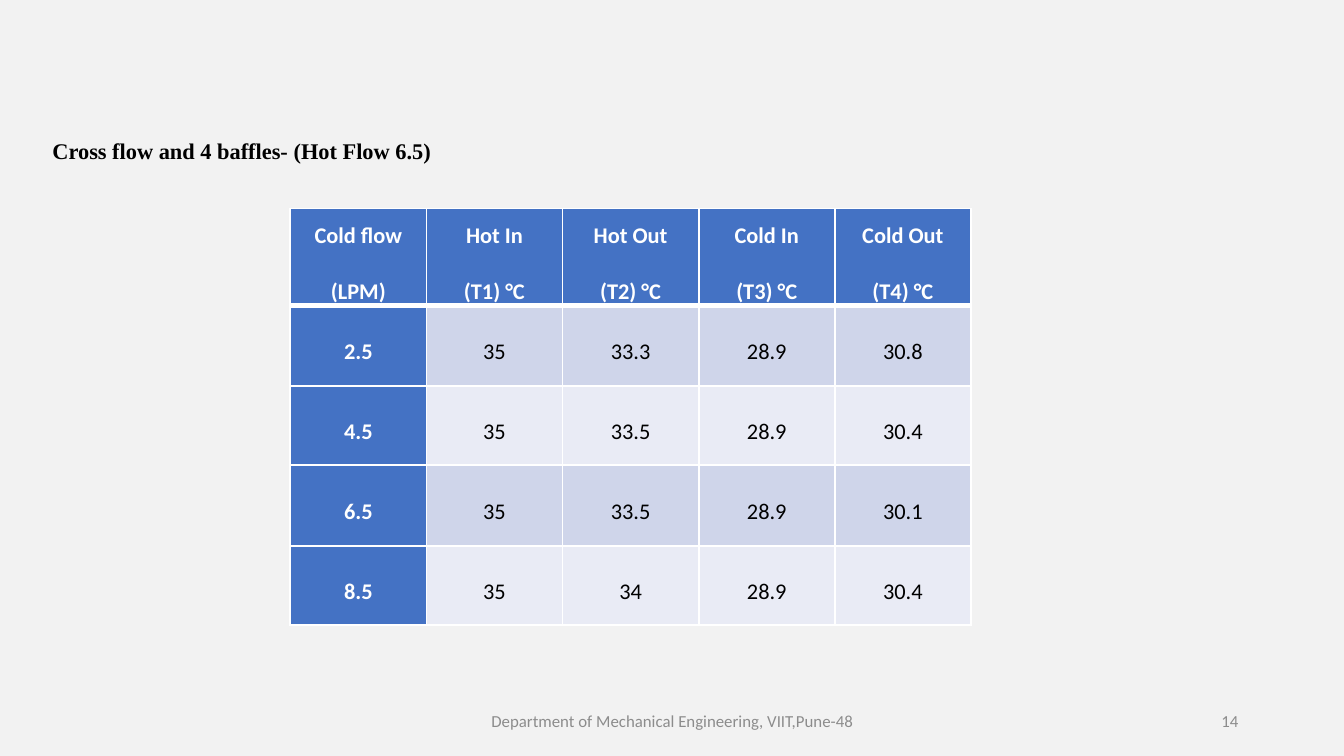
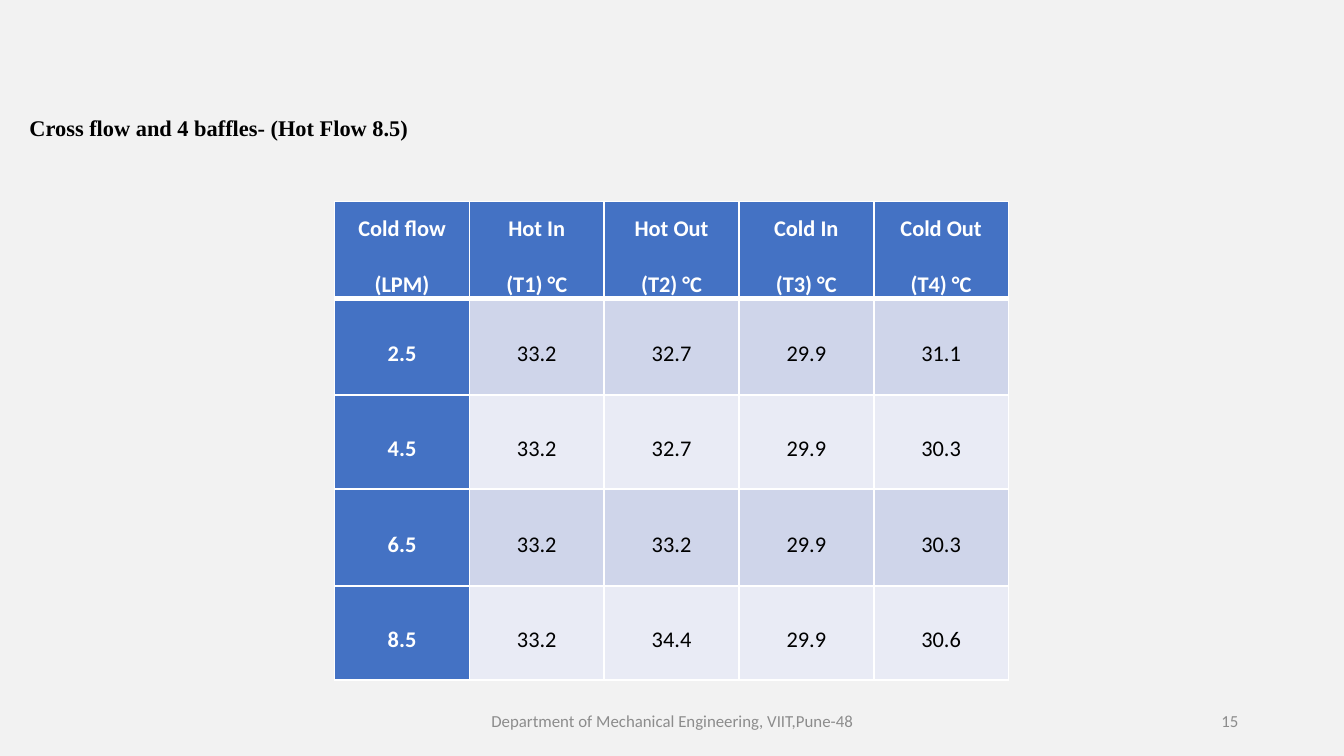
"""Build two slides of heat exchanger readings for cross flow with four baffles."""
from lxml import etree
from pptx import Presentation
from pptx import util as u
from pptx.dml import color
from pptx.enum import text
from pptx.oxml import ns

BLUE, WHITE, BLACK, GREY = "4472C4", "FFFFFF", "000000", "8C8C8C"
BACKGROUND = "F2F2F2"
BANDS = ["CFD5EA", "E9EBF5"]
FOOTER = "Department of Mechanical Engineering, VIIT,Pune-48"
HEADINGS = [
    ["Cold flow", "(LPM)"],
    ["Hot In", "(T1) °C"],
    ["Hot Out", "(T2) °C"],
    ["Cold In", "(T3) °C"],
    ["Cold Out", "(T4) °C"],
]
TRIALS = [
    {
        "title": "Cross flow and 4 baffles- (Hot Flow 6.5)",
        "title_at": (20.9, 73.4),
        "table_at": (155.5, 111.6),
        "column": 72.95,
        "heights": (42.5, 43.2),
        "number": "14",
        "readings": [
            ["2.5", "35", "33.3", "28.9", "30.8"],
            ["4.5", "35", "33.5", "28.9", "30.4"],
            ["6.5", "35", "33.5", "28.9", "30.1"],
            ["8.5", "35", "34", "28.9", "30.4"],
        ],
    },
    {
        "title": "Cross flow and 4 baffles- (Hot Flow 8.5)",
        "title_at": (8.6, 61.2),
        "table_at": (179.3, 108),
        "column": 72.2,
        "heights": (50.4, 51.8),
        "number": "15",
        "readings": [
            ["2.5", "33.2", "32.7", "29.9", "31.1"],
            ["4.5", "33.2", "32.7", "29.9", "30.3"],
            ["6.5", "33.2", "33.2", "29.9", "30.3"],
            ["8.5", "33.2", "34.4", "29.9", "30.6"],
        ],
    },
]


def paint(fill, hex_color):
    fill.solid()
    fill.fore_color.rgb = color.RGBColor.from_string(hex_color)


def write(frame, lines, size, hex_color, align, bold=False, font="Calibri"):
    for index, line in enumerate(lines):
        paragraph = frame.add_paragraph() if index else frame.paragraphs[0]
        paragraph.alignment = align
        run = paragraph.add_run()
        run.text = line
        run.font.name = font
        run.font.size = u.Pt(size)
        run.font.bold = bold
        paint(run.font.fill, hex_color)


prs = Presentation()
prs.slide_width, prs.slide_height = u.Pt(720), u.Pt(405)
paint(prs.slide_master.background.fill, BACKGROUND)
LEFT, CENTER, RIGHT = text.PP_ALIGN.LEFT, text.PP_ALIGN.CENTER, text.PP_ALIGN.RIGHT

for trial in TRIALS:
    slide = prs.slides.add_slide(prs.slide_layouts[5])

    title = slide.shapes.title
    title.left, title.top = [u.Pt(offset) for offset in trial["title_at"]]
    title.width, title.height = u.Pt(720), u.Pt(36)
    title.text_frame.auto_size = text.MSO_AUTO_SIZE.NONE
    title.text_frame.vertical_anchor = text.MSO_ANCHOR.TOP
    title.text_frame.margin_top = 0
    write(title.text_frame, [trial["title"]], 12, BLACK, LEFT, True, "Times New Roman")

    left, top = trial["table_at"]
    rows = [HEADINGS] + [[[value] for value in row] for row in trial["readings"]]
    heights = [trial["heights"][index % 2] for index in range(len(rows))]
    readings = slide.shapes.add_table(
        len(rows), len(HEADINGS), u.Pt(left), u.Pt(top),
        u.Pt(trial["column"] * len(HEADINGS)), u.Pt(sum(heights)),
    ).table
    readings.first_col = True
    for column in readings.columns:
        column.width = u.Pt(trial["column"])

    for r, row in enumerate(rows):
        readings.rows[r].height = u.Pt(heights[r])
        for c, lines in enumerate(row):
            heading = r == 0 or c == 0
            cell = readings.cell(r, c)
            cell.vertical_anchor = text.MSO_ANCHOR.MIDDLE
            cell.margin_left = cell.margin_right = u.Pt(5)
            cell.margin_top = cell.margin_bottom = 0
            write(cell.text_frame, lines, 12, WHITE if heading else BLACK, CENTER, heading)
            for paragraph in cell.text_frame.paragraphs:
                paragraph.line_spacing = 1.5
                paragraph.space_after = u.Pt(8)
            paint(cell.fill, BLUE if heading else BANDS[(r - 1) % 2])

            borders = {"lnL": 1, "lnR": 1, "lnT": 3 if r == 1 else 1, "lnB": 3 if r == 0 else 1}
            properties = cell._tc.get_or_add_tcPr()
            for position, (side, width) in enumerate(borders.items()):
                border = etree.Element(ns.qn("a:" + side), w=str(u.Pt(width)))
                solid = etree.SubElement(border, ns.qn("a:solidFill"))
                etree.SubElement(solid, ns.qn("a:srgbClr"), val=WHITE)
                properties.insert(position, border)

    for words, x, width, align in [
        (FOOTER, 238.5, 243, CENTER),
        (trial["number"], 508.5, 162, RIGHT),
    ]:
        footer = slide.shapes.add_textbox(u.Pt(x), u.Pt(375.3), u.Pt(width), u.Pt(21.6))
        footer.text_frame.word_wrap = True
        footer.text_frame.vertical_anchor = text.MSO_ANCHOR.MIDDLE
        write(footer.text_frame, [words], 9, GREY, align)

prs.save("out.pptx")
